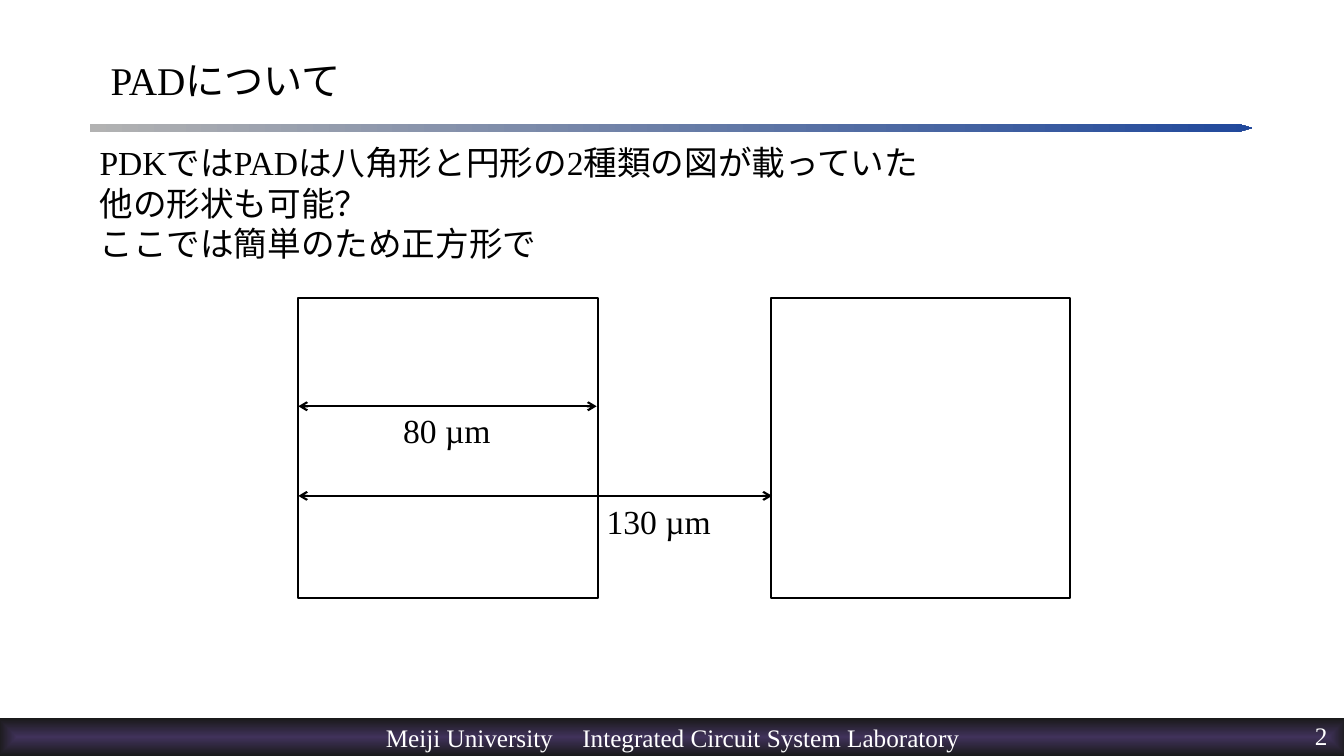
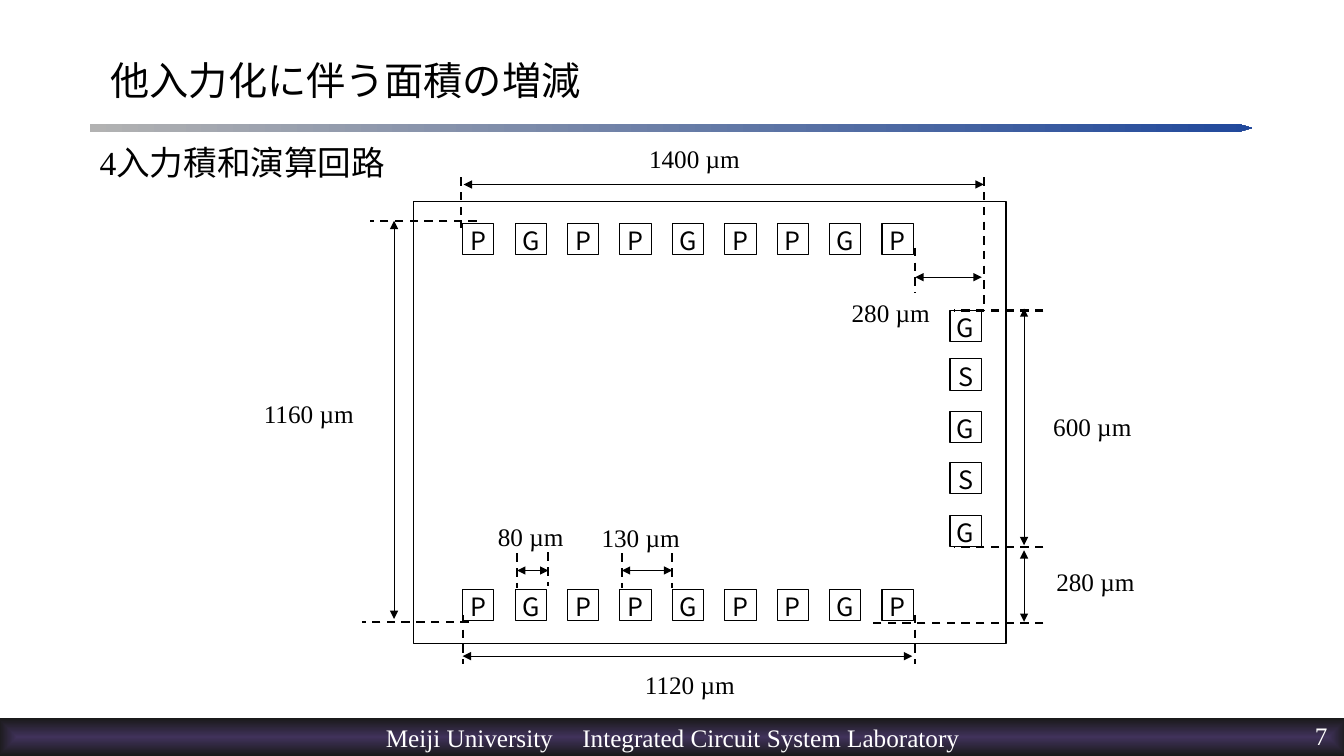
"""Build two slides on bonding pads and chip area."""
from lxml.etree import SubElement
from pptx import Presentation
from pptx.dml.color import RGBColor as RGB
from pptx.enum.dml import MSO_LINE as Dash
from pptx.enum.shapes import MSO_CONNECTOR as Wire, MSO_SHAPE as Form
from pptx.enum.text import MSO_ANCHOR as Anchor, PP_ALIGN as Align
from pptx.oxml.ns import qn
from pptx.util import Pt

HUES = {"ink": "000000", "white": "FFFFFF", "gray": "B2B2B2",
        "blue": "21499C", "plum": "40325A", "night": "191919"}
LATIN, CJK = "Times New Roman", "Noto Sans CJK JP"


def write(frame, lines, size, hue="ink", font=LATIN, align=Align.LEFT,
          anchor=Anchor.TOP, pad=(7.2, 3.6), wrap=True):
    frame.word_wrap = wrap
    frame.vertical_anchor = anchor
    frame.margin_left = frame.margin_right = Pt(pad[0])
    frame.margin_top = frame.margin_bottom = Pt(pad[1])
    for i, line in enumerate(lines):
        para = frame.add_paragraph() if i else frame.paragraphs[0]
        para.alignment = align
        run = para.add_run()
        run.text = line
        run.font.size = Pt(size)
        run.font.name = font
        run.font.color.rgb = RGB.from_string(HUES[hue])
        SubElement(run.font._element, qn("a:ea"), typeface=CJK)


def draw(page, x1, y1, x2, y2, width, tip=None, dash=False):
    wire = page.shapes.add_connector(Wire.STRAIGHT, Pt(x1), Pt(y1), Pt(x2), Pt(y2))
    wire.line.color.rgb = RGB.from_string(HUES["ink"])
    wire.line.width = Pt(width)
    if dash:
        wire.line.dash_style = Dash.DASH
    if tip:
        for end in ("a:headEnd", "a:tailEnd"):
            SubElement(wire.line._get_or_add_ln(), qn(end), type=tip)
    SubElement(wire._element.spPr, qn("a:effectLst"))


deck = Presentation()
deck.slide_width, deck.slide_height = Pt(960), Pt(540)

heads = [
    ("PADについて", "2", ["PDKではPADは八角形と円形の2種類の図が載っていた",
                      "他の形状も可能？", "ここでは簡単のため正方形で"]),
    ("他入力化に伴う面積の増減", "7", ["4入力積和演算回路"]),
]
bands = [
    ((64.3, 88.5, 830, 5.8), 1.69, ("gray", "blue")),
    ((-1.5, 512.8, 964, 27.4), 0, ("plum", "night")),
]
pages = []
for title, number, body in heads:
    page = deck.slides.add_slide(deck.slide_layouts[6])
    pages.append(page)
    for box, point, hues in bands:
        band = page.shapes.add_shape(Form.PENTAGON, *map(Pt, box))
        band.shadow.inherit = False
        band.adjustments[0] = point
        band.line.fill.background()
        band.fill.gradient()
        band.fill.gradient_angle = 0
        for stop, hue in zip(band.fill.gradient_stops, hues):
            stop.color.rgb = RGB.from_string(HUES[hue])

    grad = band._element.spPr.find(qn("a:gradFill"))
    grad.remove(grad.find(qn("a:lin")))
    glow = SubElement(grad, qn("a:path"), path="shape")
    SubElement(glow, qn("a:fillToRect"), {side: "50000" for side in "ltrb"})
    write(band.text_frame, ["Meiji University\tIntegrated Circuit System Laboratory"],
          18, "white", align=Align.CENTER, anchor=Anchor.MIDDLE, wrap=False)
    props = band.text_frame.paragraphs[0]._p.get_or_add_pPr()
    tabs = SubElement(props, qn("a:tabLst"))
    for i in range(8):
        SubElement(tabs, qn("a:tab"), pos=str(Pt(35.1 * i)), algn="l")

    box = page.shapes.add_textbox(Pt(702), Pt(514.8), Pt(246.2), Pt(25))
    write(box.text_frame, [number], 18, "white", align=Align.RIGHT, pad=(0, 0))
    box = page.shapes.add_textbox(Pt(72), Pt(19), Pt(813.6), Pt(76))
    write(box.text_frame, [title], 28, anchor=Anchor.MIDDLE)
    box = page.shapes.add_textbox(Pt(64), Pt(98), Pt(821.5), Pt(376))
    write(box.text_frame, body, 24)

pair, chip = pages

frames = [(pair, 213.1, 213.1, 213.8, 213.8, 1.5),
          (pair, 550.8, 213.1, 213.8, 213.8, 1.5),
          (chip, 295.2, 144, 423.4, 315.4, 0.75)]
side = 22.4
pads = []
for top in (159.5, 421.2):
    for i, mark in enumerate("PGPPGPPGP"):
        pads.append((mark, 330.5 + 37.44 * i, top))
for mark, top in zip("GSGSG", (221.8, 256.3, 293.8, 330.5, 367.9)):
    pads.append((mark, 678.6, top))
frames += [(chip, left, top, side, side, 0.75) for mark, left, top in pads]

marks = [None] * 3 + [mark for mark, left, top in pads]
for (page, left, top, wide, high, width), mark in zip(frames, marks):
    rect = page.shapes.add_shape(Form.RECTANGLE, Pt(left), Pt(top), Pt(wide), Pt(high))
    rect.shadow.inherit = False
    rect.fill.background()
    rect.line.color.rgb = RGB.from_string(HUES["ink"])
    rect.line.width = Pt(width)
    if mark:
        write(rect.text_frame, [mark], 18, font=CJK, align=Align.CENTER,
              pad=(0, 1.5), wrap=False)

for y, end in ((290.2, 426.2), (354.2, 551.5)):
    draw(pair, 213.1, y, end, y, 1.5, "arrow")

spans = [
    (653.8, 198, 701.3, 198), (330.5, 468.7, 651.6, 468.7),
    (369.4, 407.5, 391.7, 407.5), (444.2, 407.5, 480.2, 407.5),
    (731.5, 444.2, 731.5, 393.1), (731.5, 389.5, 731.5, 220.3),
    (331.2, 131.8, 702.7, 131.8), (281.5, 442.1, 281.5, 157.7),
]
for span in spans:
    draw(chip, *span, 0.75, "triangle")

guides = [
    (330.5, 439.2, 330.5, 474.5), (653.8, 439.2, 653.8, 474.5),
    (369.4, 395.3, 369.4, 419.8), (391.7, 394.6, 391.7, 418.3),
    (444.2, 395.3, 444.2, 419.8), (480.2, 395.3, 480.2, 419.8),
    (745.2, 221.8, 681.8, 221.8), (745.2, 391, 681.8, 391),
    (745.2, 445, 623.5, 445), (334.8, 444.2, 258.5, 444.2),
    (340.6, 157.7, 264.2, 157.7), (329, 126.7, 329, 162.7),
    (702.7, 126.7, 702.7, 222.5), (653.8, 177.1, 653.8, 208.8),
]
for guide in guides:
    draw(chip, *guide, 1.5, dash=True)

notes = [
    (pair, "80 µm", 280.8, 289.4, 24), (pair, "130 µm", 426.2, 354.2, 24),
    (chip, "1400 µm", 456.5, 98.6, 18), (chip, "1120 µm", 453.6, 474.5, 18),
    (chip, "1160 µm", 181.4, 280.8, 18), (chip, "600 µm", 745.2, 290.2, 18),
    (chip, "280 µm", 601.2, 208.8, 18), (chip, "280 µm", 747.4, 401, 18),
    (chip, "130 µm", 422.6, 369.4, 18), (chip, "80 µm", 348.5, 368.6, 18),
]
for page, note, left, top, size in notes:
    box = page.shapes.add_textbox(Pt(left), Pt(top), Pt(90), Pt(size * 1.6))
    write(box.text_frame, [note], size)

deck.save("out.pptx")
